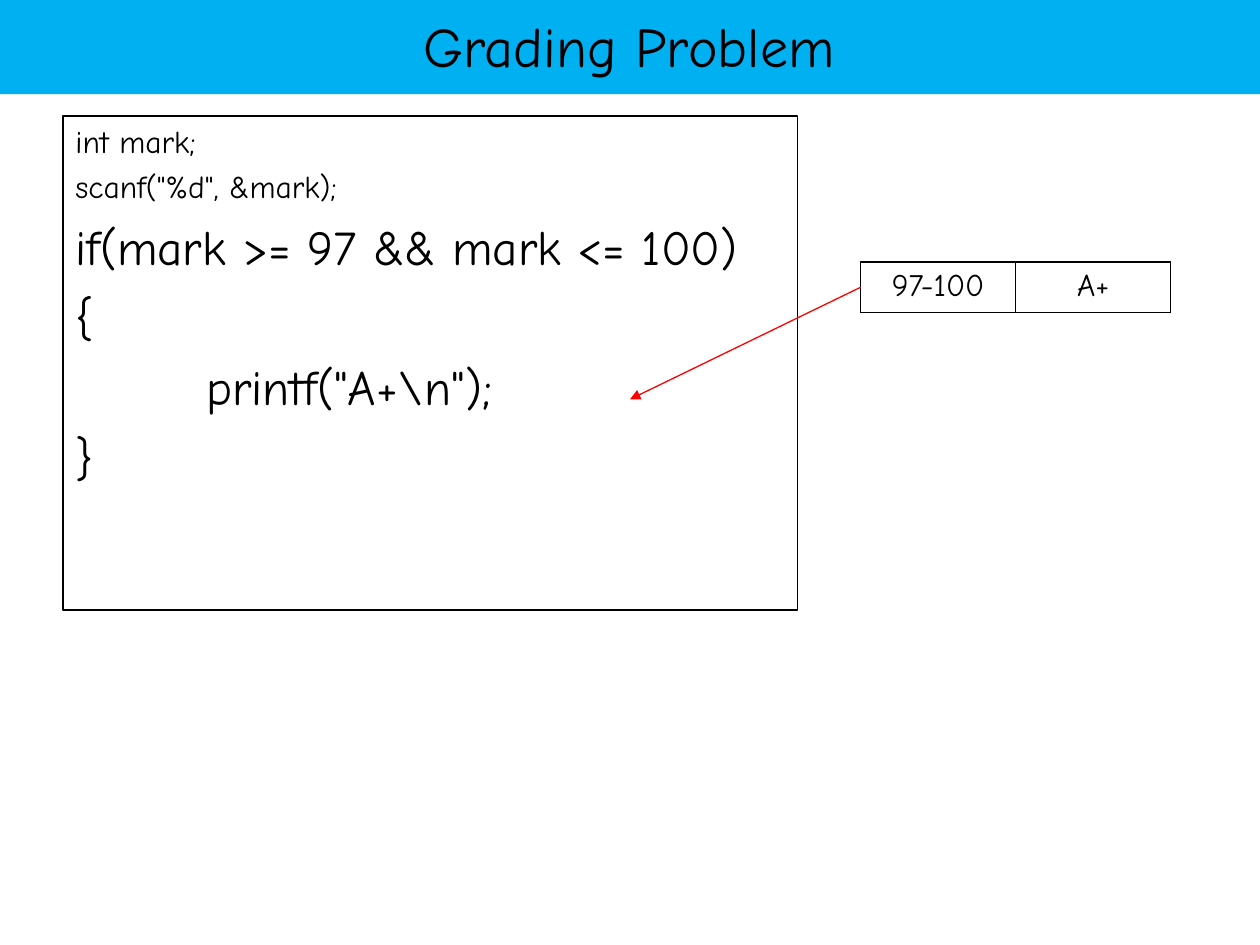
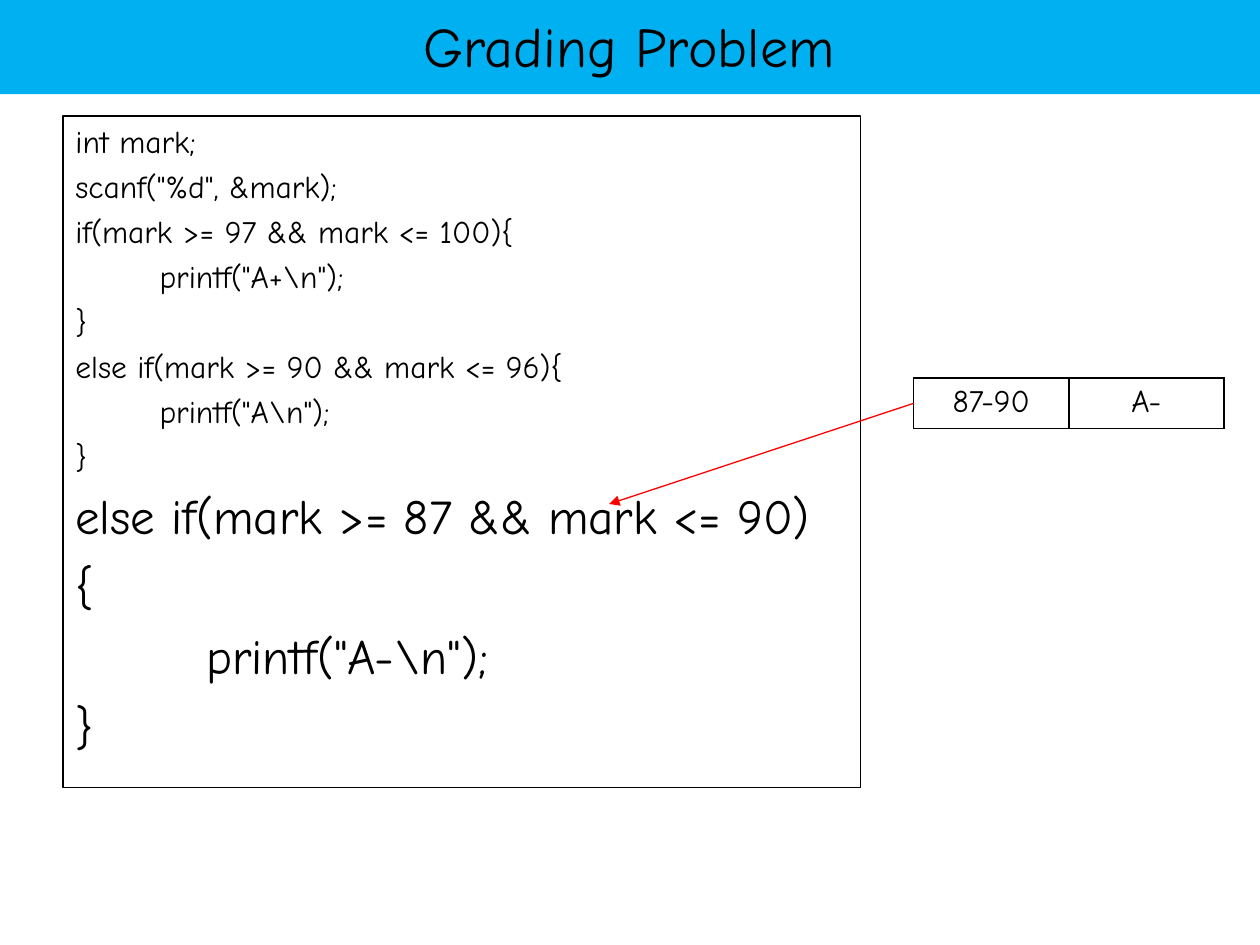
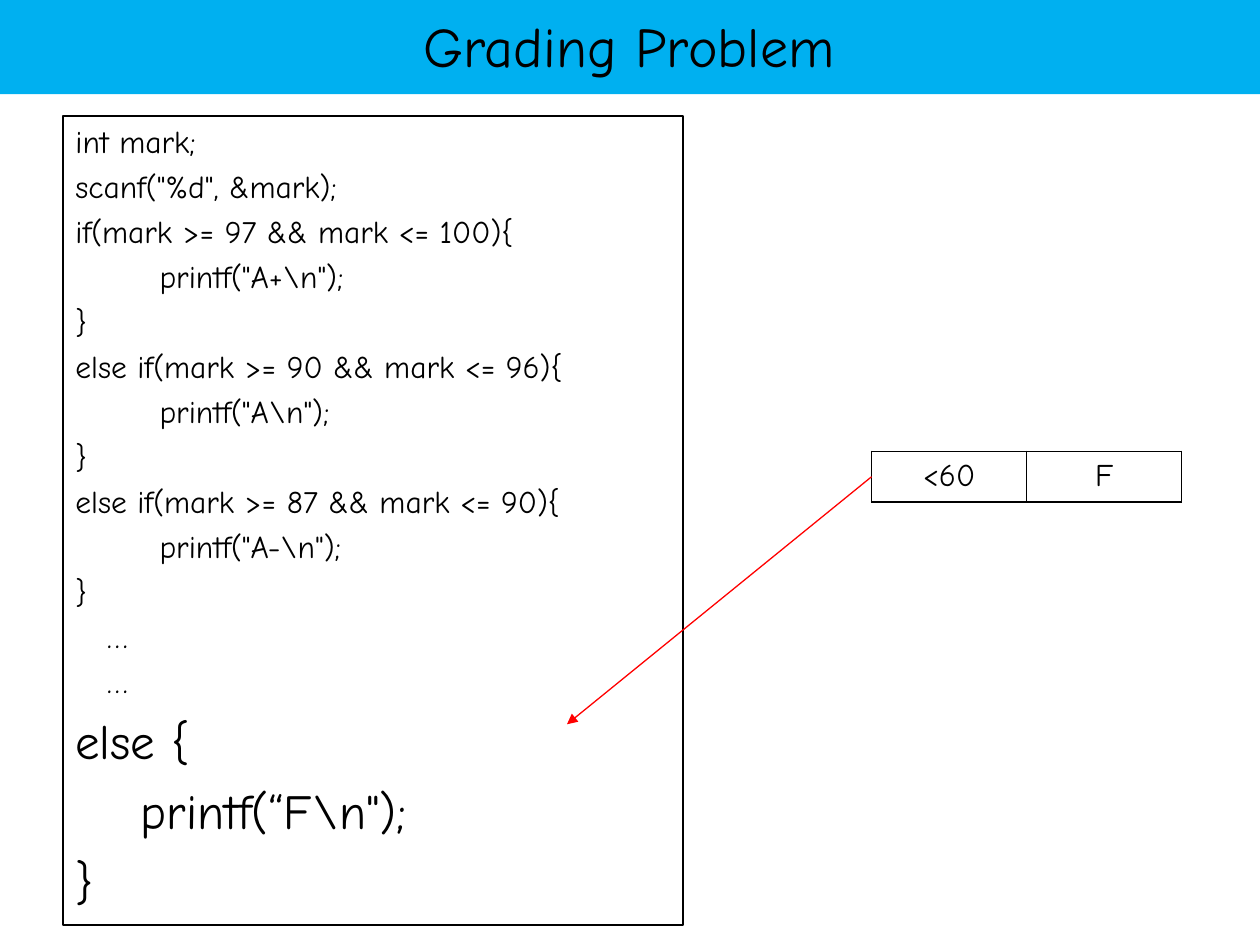
from lxml.etree import SubElement
from pptx import Presentation
from pptx.dml.color import RGBColor
from pptx.enum.shapes import MSO_CONNECTOR, MSO_SHAPE
from pptx.enum.text import MSO_ANCHOR, PP_ALIGN
from pptx.oxml.ns import qn
from pptx.util import Cm, Pt

FONT = "Comic Neue"
BLACK, SKY, RED = "000000", "00B0F0", "FF0000"
CODE_SIZE, FOCUS_SIZE = 18, 28
CODE_LEFT, CODE_TOP = 1.27, 2.34
HANGING = 0.95
SPACING = 0.23  # space before a line, as a share of its text size
GRADE_WIDTH, GRADE_HEIGHT = 6.25, 1.02


def color(hex_value):
    return RGBColor.from_string(hex_value)


def add_text(paragraph, text, size):
    run = paragraph.add_run()
    run.text = text
    run.font.name = FONT
    run.font.size = Pt(size)
    run.font.color.rgb = color(BLACK)


def add_title(slide, text):
    title = slide.shapes.title
    title.left, title.top = Cm(-0.03), Cm(-0.08)
    title.width, title.height = Cm(25.43), Cm(1.98)
    title.fill.solid()
    title.fill.fore_color.rgb = color(SKY)
    frame = title.text_frame
    frame.vertical_anchor = MSO_ANCHOR.MIDDLE
    heading = frame.paragraphs[0]
    heading.alignment = PP_ALIGN.CENTER
    add_text(heading, text, 32)


def add_code(slide, width, height, known, focus):
    """Outlined code listing: known lines small, the new branch enlarged."""
    listing = slide.shapes.add_shape(
        MSO_SHAPE.RECTANGLE, Cm(CODE_LEFT), Cm(CODE_TOP), Cm(width), Cm(height))
    listing.shadow.inherit = False
    listing.fill.background()
    listing.line.color.rgb = color(BLACK)
    listing.line.width = Pt(0.75)
    frame = listing.text_frame
    frame.word_wrap = True
    frame.vertical_anchor = MSO_ANCHOR.TOP
    lines = [(text, CODE_SIZE) for text in known]
    lines += [(text, FOCUS_SIZE) for text in focus]
    for index, (text, size) in enumerate(lines):
        paragraph = frame.add_paragraph() if index else frame.paragraphs[0]
        paragraph.alignment = PP_ALIGN.LEFT
        if index:
            paragraph.space_before = Pt(round(size * SPACING, 1))
        properties = paragraph._p.get_or_add_pPr()
        properties.set("marL", str(Cm(HANGING)))
        properties.set("indent", str(-Cm(HANGING)))
        add_text(paragraph, text, size)


def add_borders(cell):
    properties = cell._tc.get_or_add_tcPr()
    for side in ("lnL", "lnR", "lnT", "lnB"):
        border = SubElement(properties, qn(f"a:{side}"), w=str(Pt(1)))
        fill = SubElement(border, qn("a:solidFill"))
        SubElement(fill, qn("a:srgbClr"), val=BLACK)


def add_grade(slide, left, top, grade_row):
    table = slide.shapes.add_table(
        1, len(grade_row), Cm(left), Cm(top), Cm(GRADE_WIDTH), Cm(GRADE_HEIGHT)).table
    table.first_row = table.horz_banding = False
    for cell, text in zip(table.rows[0].cells, grade_row):
        add_borders(cell)
        cell.fill.background()
        paragraph = cell.text_frame.paragraphs[0]
        paragraph.alignment = PP_ALIGN.CENTER
        add_text(paragraph, text, CODE_SIZE)


def add_arrow(slide, start, end):
    arrow = slide.shapes.add_connector(
        MSO_CONNECTOR.STRAIGHT, *(Cm(length) for length in (*start, *end)))
    arrow.line.color.rgb = color(RED)
    arrow.line.width = Pt(0.75)
    SubElement(arrow.line._get_or_add_ln(), qn("a:tailEnd"), type="triangle")
    SubElement(arrow._element.spPr, qn("a:effectLst"))


def add_grading_slide(deck, code_size, known, focus, grade_row, grade_at, target):
    slide = deck.slides.add_slide(deck.slide_layouts[5])
    add_title(slide, "Grading Problem")
    add_code(slide, *code_size, known, focus)
    add_grade(slide, *grade_at, grade_row)
    left, top = grade_at
    add_arrow(slide, (left, top + GRADE_HEIGHT / 2), target)


def print_line(grade):
    return f'        printf("{grade}\\n");'


def compact_branch(condition, grade):
    return [condition + "{", print_line(grade), "}"]


def open_branch(condition, grade):
    return [condition, "{", print_line(grade), "}"]


def main():
    deck = Presentation()
    deck.slide_width, deck.slide_height = Cm(25.4), Cm(19.05)

    reading = ["int mark;", 'scanf("%d", &mark);']
    a_plus = ("if(mark >= 97 && mark <= 100)", "A+")
    a_plain = ("else if(mark >= 90 && mark <= 96)", "A")
    a_minus = ("else if(mark >= 87 && mark <= 90)", "A-")
    up_to_a = reading + compact_branch(*a_plus) + compact_branch(*a_plain)
    up_to_rest = up_to_a + compact_branch(*a_minus) + ["   …"] * 2
    failing = ["else {", '    printf(“F\\n");', "}"]

    add_grading_slide(deck, (14.81, 9.96), reading, open_branch(*a_plus),
                      ("97-100", "A+"), (17.35, 5.28), (12.7, 8.05))
    add_grading_slide(deck, (16.08, 13.54), up_to_a, open_branch(*a_minus),
                      ("87-90", "A-"), (18.42, 7.62), (12.28, 10.16))
    add_grading_slide(deck, (12.5, 16.31), up_to_rest, failing,
                      ("<60", "F"), (17.57, 9.1), (11.43, 14.6))
    deck.save("out.pptx")


if __name__ == "__main__":
    main()
